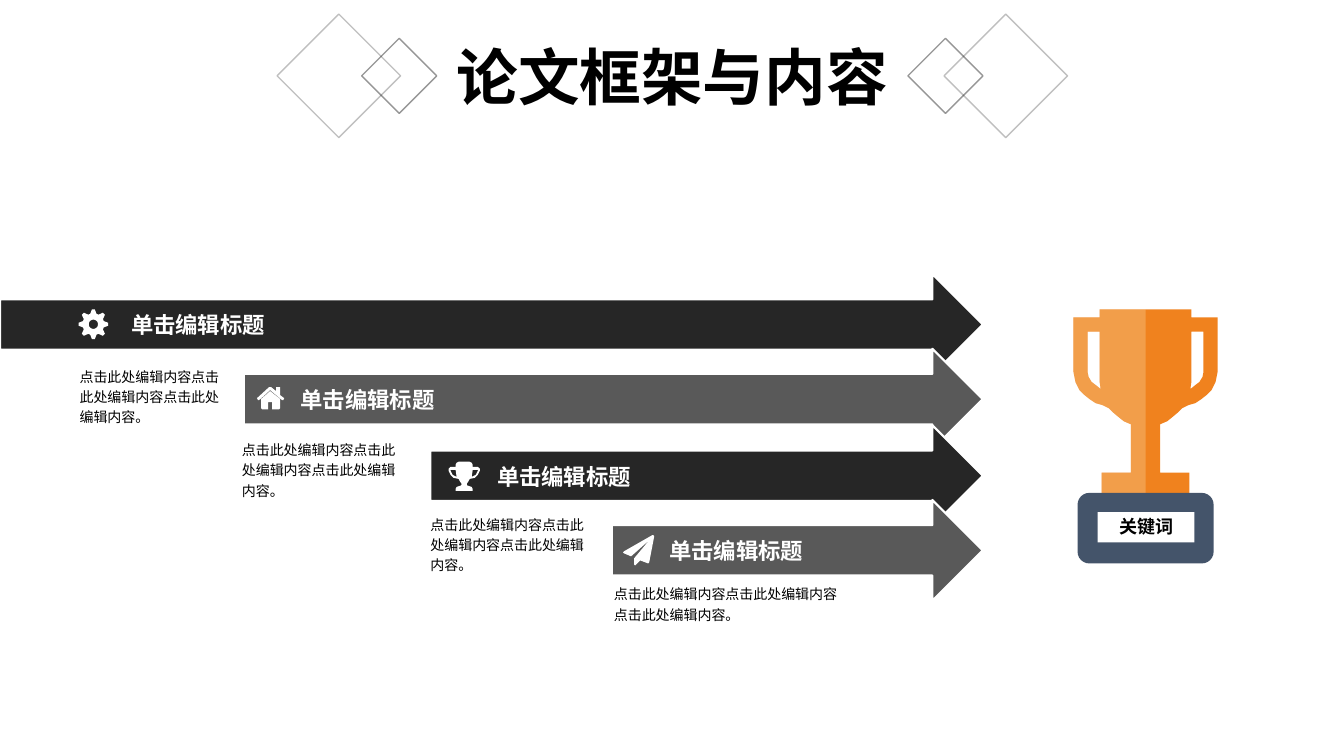
from math import cos, pi, sin
from lxml import etree
from pptx import Presentation
from pptx.dml.color import RGBColor
from pptx.enum.shapes import MSO_SHAPE
from pptx.enum.text import MSO_ANCHOR, PP_ALIGN
from pptx.oxml.ns import qn
from pptx.util import Pt

DIAMOND, ARROW = MSO_SHAPE.DIAMOND, MSO_SHAPE.RIGHT_ARROW
RECTANGLE, ROUNDED = MSO_SHAPE.RECTANGLE, MSO_SHAPE.ROUNDED_RECTANGLE
TOP, MIDDLE = MSO_ANCHOR.TOP, MSO_ANCHOR.MIDDLE
LEFT, CENTER = PP_ALIGN.LEFT, PP_ALIGN.CENTER

COLORS = {"black": "000000", "white": "FFFFFF", "dark": "262626", "gray": "595959",
          "outline": "1C1C1C", "orange": "F0821E", "cream": "F7DDAF", "slate": "44546A"}
CJK_FONT = "Noto Sans CJK SC"
FORMATS = {
    "title": {"size": Pt(44), "bold": True, "name": CJK_FONT},
    "heading": {"size": Pt(16), "bold": True, "name": "Arial"},
    "body": {"size": Pt(10), "bold": False, "name": "Arial"},
    "keyword": {"size": Pt(12.9), "bold": True, "name": "Arial"},
}

TITLE = "论文框架与内容"
HEADING = "单击编辑标题"
BODY = "点击此处编辑内容" * 3 + "。"
KEYWORD = "关键词"

SLIDE_WIDTH, SLIDE_HEIGHT = 960, 540
TITLE_CENTER = 480.25
DIAMONDS = [(238.2, 10.08, 88.2, 27), (195.1, 27.36, 53.6, 46)]
ARROW_RIGHT, ARROW_HEIGHT = 702, 72
UNIT = 0.72


def mirror(points, axis):
    return [(2 * axis - x, y) for x, y in points]


def symmetric(half, axis):
    return half + mirror(half, axis)[::-1]


def ring(radii, center, steps, turn=0):
    return [(center + radii[i % len(radii)] * cos(2 * pi * i / steps + turn),
             center + radii[i % len(radii)] * sin(2 * pi * i / steps + turn))
            for i in range(steps)]


GEAR = [ring([14.8, 14.8, 10.8, 10.8], 14.5, 32, -pi / 32), ring([4.6], 14.5, 32)]
HOUSE = [
    [(26, 13), (25, 13), (13, 3), (2, 13), (1, 13), (0, 11), (12, 0), (14, 0), (19, 4),
     (19, 0), (23, 0), (23, 8), (27, 11)],
    [(23, 21), (22, 22), (15, 22), (15, 15), (11, 15), (11, 22), (5, 22), (4, 21),
     (4, 12), (13, 4), (23, 12)],
]
CUP_AXIS = 15.5
CUP_HALF = [(21, 0), (23, 1), (24, 3), (24, 5), (29, 5), (31, 7), (31, 9), (29, 13), (26, 16),
            (21, 17), (20, 19), (18, 22), (18.5, 23.5), (20, 24), (23, 25), (24, 27), (24, 29)]
CUP_HOLE = [(29, 8), (24, 8), (23, 15), (27, 13), (29, 9)]
CUP = [symmetric(CUP_HALF, CUP_AXIS), CUP_HOLE, mirror(CUP_HOLE, CUP_AXIS)]
PLANE = [[(31, 1), (26, 27), (25, 28), (17, 25), (13, 29), (12, 30), (11, 29), (11, 23),
          (26, 5), (8, 21), (1, 18), (0, 17), (1, 16), (29, 0), (30, 0)]]

TROPHY_AXIS = 71.5
TROPHY_HALF = [(117, 0), (117, 8), (143, 8), (143, 62), (141, 72), (137, 80), (132, 85),
               (127, 89), (121, 93), (114, 95), (108, 98), (104, 102), (98, 107), (93, 111),
               (86, 114), (86, 162), (115, 162), (115, 182)]
TROPHY_HOLE = [(129, 62), (129, 22), (117, 22), (117, 72), (116, 79), (121, 75), (125, 72),
               (128, 67)]
TROPHY_LEFT_HOLE = mirror(TROPHY_HOLE, TROPHY_AXIS)
TROPHY = [symmetric(TROPHY_HALF, TROPHY_AXIS), TROPHY_HOLE, TROPHY_LEFT_HOLE]
TROPHY_LIGHT = [[(TROPHY_AXIS, 0)] + mirror(TROPHY_HALF, TROPHY_AXIS) + [(TROPHY_AXIS, 182)],
                TROPHY_LEFT_HOLE]

ROWS = [
    {"arrow": (0, 195.84, "dark"), "heading": 93.6, "body": (56.9, 260.6, 103.7),
     "icon": (GEAR, 56.3, 221.2)},
    {"arrow": (174.24, 249.12, "gray"), "heading": 214.6, "body": (172.8, 313.2, 110.9),
     "icon": (HOUSE, 183.6, 276.5)},
    {"arrow": (307.44, 303.84, "dark"), "heading": 355, "body": (307.44, 366.5, 116.6),
     "icon": (CUP, 320.4, 329.8)},
    {"arrow": (437.04, 357.12, "gray"), "heading": 478.1, "body": (438.5, 416.2, 162),
     "icon": (PLANE, 445, 382.3)},
]

presentation = Presentation()
presentation.slide_width, presentation.slide_height = Pt(SLIDE_WIDTH), Pt(SLIDE_HEIGHT)
slide = presentation.slides.add_slide(presentation.slide_layouts[6])
shapes = slide.shapes


def paint(target, color, alpha=100):
    target.solid()
    target.fore_color.rgb = RGBColor.from_string(COLORS[color])
    if alpha < 100:
        color_node = target._xPr.find(qn("a:solidFill"))[0]
        etree.SubElement(color_node, qn("a:alpha"), val=str(alpha * 1000))


def style(shape, fill=None, line=None, line_width=1, fill_alpha=100, line_alpha=100):
    shape.shadow.inherit = False
    if fill:
        paint(shape.fill, fill, fill_alpha)
    else:
        shape.fill.background()
    if line:
        shape.line.width = Pt(line_width)
        paint(shape.line.fill, line, line_alpha)
    else:
        shape.line.fill.background()


def add_preset(kind, left, top, width, height, **look):
    shape = shapes.add_shape(kind, Pt(left), Pt(top), Pt(width), Pt(height))
    style(shape, **look)
    return shape


def add_outline(contours, left, top, fill, alpha=100):
    placed = [[(Pt(left + x * UNIT), Pt(top + y * UNIT)) for x, y in contour]
              for contour in contours]
    builder = shapes.build_freeform(*placed[0][0])
    for index, contour in enumerate(placed):
        if index:
            builder.move_to(*contour[0])
        builder.add_line_segments(contour[1:], close=True)
    style(builder.convert_to_shape(), fill=fill, fill_alpha=alpha)


def write(shape, text, look, color, align=LEFT, anchor=TOP, wrap=False, spacing=1.0, margin=0):
    frame = shape.text_frame
    settings = {"word_wrap": wrap, "vertical_anchor": anchor}
    settings.update({f"margin_{side}": Pt(margin) for side in ("left", "right", "top", "bottom")})
    for name, value in settings.items():
        setattr(frame, name, value)
    paragraph = frame.paragraphs[0]
    paragraph.alignment, paragraph.line_spacing = align, spacing
    run = paragraph.add_run()
    run.text = text
    for name, value in FORMATS[look].items():
        setattr(run.font, name, value)
    run.font.color.rgb = RGBColor.from_string(COLORS[color])
    etree.SubElement(run._r.get_or_add_rPr(), qn("a:ea"), typeface=CJK_FONT)


def add_text(left, top, width, height, *content, **layout):
    box = shapes.add_textbox(Pt(left), Pt(top), Pt(width), Pt(height))
    write(box, *content, **layout)


for side in (1, -1):
    for offset, top, size, alpha in DIAMONDS:
        center = TITLE_CENTER + side * offset
        add_preset(DIAMOND, center - size / 2, top, size, size, line="outline", line_alpha=alpha)
add_text(309.6, 24.5, 341.3, 60.5, TITLE, "title", "black", align=CENTER, wrap=True, margin=3.6)

for row in ROWS:
    left, top, color = row["arrow"]
    add_preset(ARROW, left, top, ARROW_RIGHT - left, ARROW_HEIGHT,
               fill=color, line="white", line_width=1.5)
    add_text(row["heading"], top + 26.6, 97.2, 19.4, HEADING, "heading", "white", anchor=MIDDLE)
    body_left, body_top, body_width = row["body"]
    add_text(body_left, body_top, body_width, 44, BODY, "body", "black", wrap=True, spacing=1.2)
    contours, icon_left, icon_top = row["icon"]
    add_outline(contours, icon_left, icon_top, "white")

add_outline(TROPHY, 766.8, 221, "orange")
add_outline(TROPHY_LIGHT, 766.8, 221, "cream", alpha=31)
add_preset(ROUNDED, 769.7, 352.1, 97.2, 50.4, fill="slate")
plate = add_preset(RECTANGLE, 784.1, 365.8, 69.1, 21.6, fill="white")
write(plate, KEYWORD, "keyword", "black", align=CENTER, anchor=MIDDLE, spacing=0.9)

presentation.save("out.pptx")
